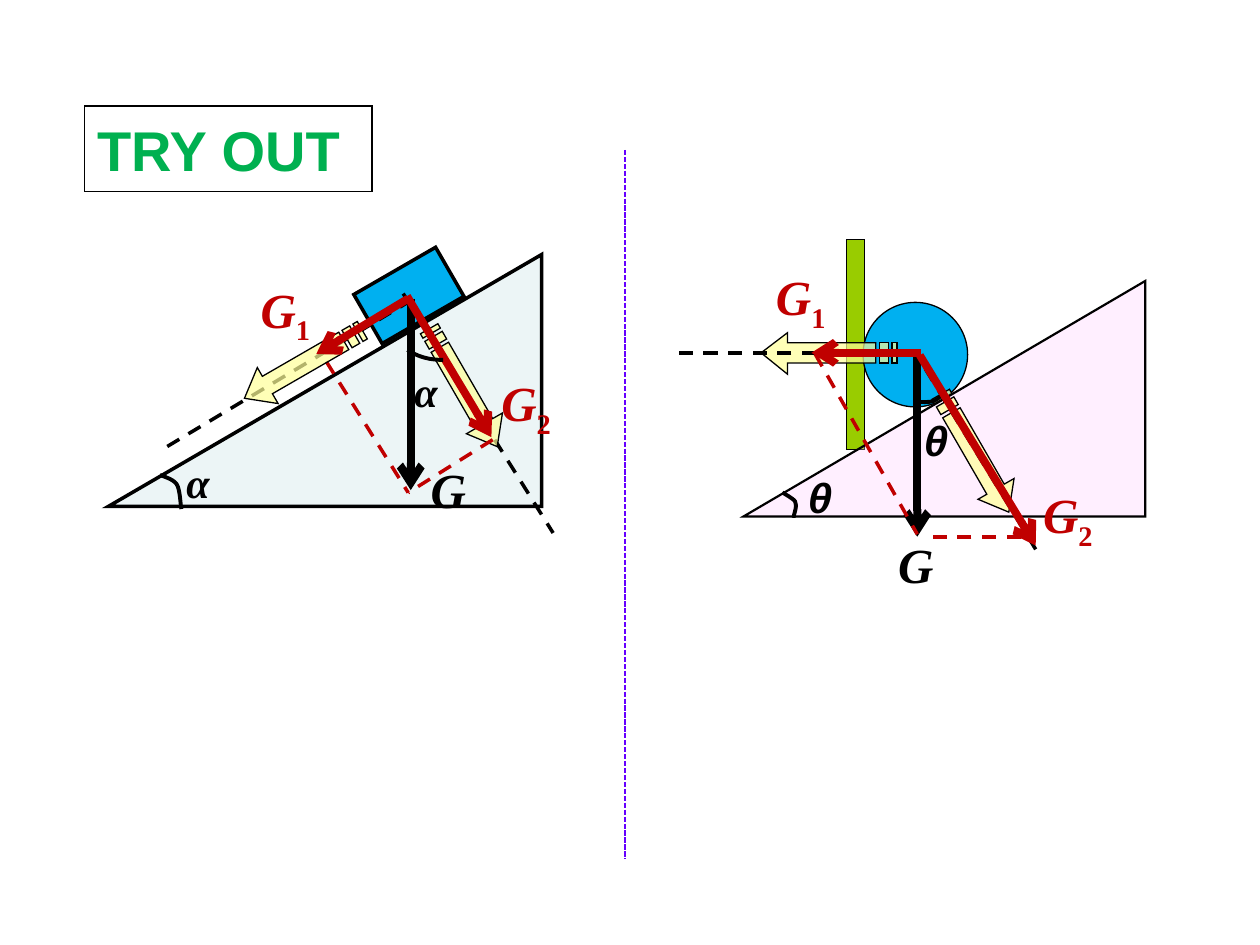
from dataclasses import dataclass

from lxml import etree
from pptx import Presentation
from pptx.dml.color import RGBColor
from pptx.enum.dml import MSO_LINE
from pptx.enum.shapes import MSO_CONNECTOR, MSO_SHAPE
from pptx.enum.text import MSO_ANCHOR, MSO_AUTO_SIZE, PP_ALIGN
from pptx.oxml.ns import qn
from pptx.util import Inches, Pt

STRAIGHT = MSO_CONNECTOR.STRAIGHT
DASH, FINE_DASH = MSO_LINE.DASH, MSO_LINE.SQUARE_DOT
RECTANGLE, ELLIPSE = MSO_SHAPE.RECTANGLE, MSO_SHAPE.OVAL
TRIANGLE, ARC = MSO_SHAPE.RIGHT_TRIANGLE, MSO_SHAPE.ARC
SERIF, MONO, SANS = "Times New Roman", "Courier New", "Arial"
COLORS = {
    "black": "000000", "white": "FFFFFF", "red": "C00000", "blue": "00B0F0",
    "green": "00B050", "lime": "99CC00", "violet": "6600FF",
    "ice": "DAEDEF", "pink": "FFCCFF", "yellow": "FFFF99",
}
Point = tuple[float, float]


@dataclass
class Segment:
    start: Point
    end: Point
    color: str = "black"
    width: float = 2
    dash: MSO_LINE | None = DASH
    arrow: bool = False


@dataclass
class Label:
    text: str
    left: float
    top: float
    width: float
    height: float
    subscript: str = ""
    font: str = SERIF
    size: float = 28
    color: str = "black"


@dataclass
class Body:
    kind: MSO_SHAPE
    box: tuple[float, float, float, float]
    fill: str
    line_width: float
    opacity: int = 100
    rotation: float = 0
    flipped: bool = False


def rgb(name: str) -> RGBColor:
    return RGBColor.from_string(COLORS[name])


def style_shape(shape, fill: str | None, line_width: float, opacity: int = 100) -> None:
    shape.shadow.inherit = False
    if fill is None:
        shape.fill.background()
    else:
        shape.fill.solid()
        shape.fill.fore_color.rgb = rgb(fill)
        if opacity < 100:
            color = shape.fill._xPr.find(qn("a:solidFill"))[0]
            etree.SubElement(color, qn("a:alpha"), val=str(opacity * 1000))
    shape.line.color.rgb = rgb("black")
    shape.line.width = Pt(line_width)
    etree.SubElement(shape.line._get_or_add_ln(), qn("a:miter"), lim="800000")


def draw_body(slide, body: Body) -> None:
    shape = slide.shapes.add_shape(body.kind, *map(Inches, body.box))
    style_shape(shape, body.fill, body.line_width, body.opacity)
    shape.rotation = body.rotation
    if body.flipped:
        shape._element.spPr.xfrm.set("flipH", "1")


def draw_segment(slide, segment: Segment) -> None:
    ends = map(Inches, (*segment.start, *segment.end))
    connector = slide.shapes.add_connector(STRAIGHT, *ends)
    connector.line.color.rgb = rgb(segment.color)
    connector.line.width = Pt(segment.width)
    if segment.dash is not None:
        connector.line.dash_style = segment.dash
    if segment.arrow:
        etree.SubElement(connector.line._get_or_add_ln(), qn("a:tailEnd"), type="arrow")
    etree.SubElement(connector._element.spPr, qn("a:effectLst"))


def add_run(paragraph, text: str, *, font: str, size: float, color: str,
            italic: bool = False, baseline: int = 0) -> None:
    run = paragraph.add_run()
    run.text = text
    run.font.name, run.font.size = font, Pt(size)
    run.font.bold, run.font.italic = True, italic
    run.font.color.rgb = rgb(color)
    if baseline:
        run._r.get_or_add_rPr().set("baseline", str(baseline * 1000))


def draw_label(slide, label: Label) -> None:
    box = map(Inches, (label.left, label.top, label.width, label.height))
    frame = slide.shapes.add_textbox(*box).text_frame
    frame.word_wrap = not label.subscript
    frame.auto_size = MSO_AUTO_SIZE.SHAPE_TO_FIT_TEXT
    look = {"font": label.font, "size": label.size, "color": label.color}
    add_run(frame.paragraphs[0], label.text, italic=True, **look)
    if label.subscript:
        add_run(frame.paragraphs[0], label.subscript, baseline=-25, **look)


def draw_striped_arrow(slide, left: float, top: float, rotation: float) -> None:
    """Two stripes and a pointed body, laid out to the right and then turned."""
    def bar(start: float, end: float) -> list[Point]:
        return [(start, 0.09), (end, 0.09), (end, 0.25), (start, 0.25)]

    head = [(0.17, 0.09), (0.87, 0.09), (0.87, 0), (1.08, 0.17),
            (0.87, 0.33), (0.87, 0.25), (0.17, 0.25)]
    contours = [[(Inches(left + x), Inches(top + y)) for x, y in part]
                for part in (head, bar(0.07, 0.14), bar(0, 0.04))]
    builder = slide.shapes.build_freeform(*contours[0][0])
    for index, contour in enumerate(contours):
        if index:
            builder.move_to(*contour[0])
        builder.add_line_segments(contour[1:], close=True)
    shape = builder.convert_to_shape()
    style_shape(shape, "yellow", 0.75, opacity=70)
    shape.rotation = rotation


def draw_angle_mark(slide, *curves: tuple[Point, Point, Point, Point]) -> None:
    """Joined cubic curves, each drawn in twelve short steps."""
    points = [curves[0][0]]
    for curve in curves:
        for step in range(1, 13):
            t = step / 12
            weights = ((1 - t) ** 3, 3 * t * (1 - t) ** 2, 3 * t * t * (1 - t), t ** 3)
            points.append(tuple(sum(w * p[axis] for w, p in zip(weights, curve))
                                for axis in (0, 1)))
    points = [(Inches(x), Inches(y)) for x, y in points]
    builder = slide.shapes.build_freeform(*points[0])
    builder.add_line_segments(points[1:], close=False)
    style_shape(builder.convert_to_shape(), None, 2.25)


def force(start: Point, end: Point, color: str = "red") -> Segment:
    return Segment(start, end, color, 4.5, None, True)


def component_label(subscript: str, left: float, top: float) -> Label:
    return Label("G", left, top, 0.62, 0.57, subscript, color="red")


def draw_title(slide) -> None:
    title = slide.shapes.title
    title.left, title.top, title.width, title.height = map(Inches, (0.67, 0.84, 2.28, 0.68))
    style_shape(title, "white", 1)
    frame = title.text_frame
    frame.auto_size, frame.vertical_anchor = MSO_AUTO_SIZE.NONE, MSO_ANCHOR.MIDDLE
    frame.paragraphs[0].alignment = PP_ALIGN.LEFT
    add_run(frame.paragraphs[0], "TRY OUT", font=SANS, size=32, color="green")


def draw_block_diagram(slide) -> None:
    # Slope, block, weight and slope angle
    draw_body(slide, Body(TRIANGLE, (0.86, 2.02, 3.44, 2), "ice", 2, 50, flipped=True))
    draw_body(slide, Body(RECTANGLE, (2.87, 2.12, 0.75, 0.45), "blue", 2, rotation=330))
    draw_segment(slide, force((3.26, 2.37), (3.26, 3.89), "black"))
    draw_angle_mark(slide, ((1.27, 3.77), (1.29, 3.78), (1.37, 3.8), (1.4, 3.84)),
                    ((1.4, 3.84), (1.43, 3.88), (1.43, 3.99), (1.44, 4.04)))
    for label in (Label("G", 3.32, 3.6, 0.88, 0.55),
                  Label("α", 1.38, 3.57, 0.72, 0.48, size=24),
                  component_label("1", 1.97, 2.17), component_label("2", 3.88, 2.91),
                  Label("α", 3.19, 2.85, 0.49, 0.5, size=24)):
        draw_label(slide, label)
    # Directions, parallelogram and force components
    draw_segment(slide, Segment((3.2, 2.33), (4.39, 4.23)))
    draw_segment(slide, Segment((3.27, 2.38), (1.3, 3.56)))
    draw_striped_arrow(slide, 3.14, 2.91, 60)
    draw_segment(slide, Segment((3.91, 3.49), (3.24, 3.91), "red"))
    draw_segment(slide, Segment((2.59, 2.87), (3.24, 3.91), "red"))
    draw_striped_arrow(slide, 1.87, 2.73, 150)
    draw_segment(slide, force((3.24, 2.37), (2.51, 2.81)))
    draw_segment(slide, force((3.23, 2.35), (3.9, 3.47)))
    arc = slide.shapes.add_shape(ARC, *map(Inches, (2.95, 1.69, 1.32, 1.09)))
    arc.adjustments[0], arc.adjustments[1] = 198.82, 214.55
    arc.rotation = 127.2
    style_shape(arc, None, 2.25)


def draw_ball_diagram(slide) -> None:
    # Wall, ball, slope and slope angle
    for body in (Body(RECTANGLE, (6.72, 1.9, 0.14, 1.67), "lime", 0.75),
                 Body(ELLIPSE, (6.85, 2.4, 0.83, 0.83), "blue", 0.75),
                 Body(ELLIPSE, (7.26, 2.8, 0.04, 0.04), "black", 0.75),
                 Body(TRIANGLE, (5.9, 2.23, 3.19, 1.87), "pink", 1.25, 30, flipped=True)):
        draw_body(slide, body)
    draw_angle_mark(slide, ((6.3, 4.11), (6.3, 4.07), (6.33, 4.03), (6.31, 3.98)),
                    ((6.31, 3.98), (6.3, 3.96), (6.21, 3.91), (6.21, 3.91)))
    # Weight, parallelogram and directions
    draw_striped_arrow(slide, 6.04, 2.64, 180)
    draw_striped_arrow(slide, 7.2, 3.43, 60)
    draw_segment(slide, force((7.28, 2.82), (7.28, 4.26), "black"))
    draw_segment(slide, Segment((8.1, 4.26), (7.35, 4.26), "red"))
    draw_segment(slide, Segment((6.47, 2.81), (7.28, 4.24), "red"))
    draw_angle_mark(slide, ((7.47, 3.14), (7.41, 3.2), (7.37, 3.19), (7.28, 3.19)))
    draw_segment(slide, Segment((7.26, 2.8), (5.32, 2.8)))
    draw_segment(slide, Segment((8.22, 4.36), (7.26, 2.79)))
    # Labels and force components
    for label in (Label("θ", 6.31, 3.69, 0.5, 0.51, font=MONO, size=24),
                  Label("G", 7.03, 4.19, 0.88, 0.57),
                  Label("θ", 7.23, 3.24, 0.53, 0.5, font=MONO, size=24),
                  component_label("2", 8.18, 3.8), component_label("1", 6.06, 2.07)):
        draw_label(slide, label)
    draw_segment(slide, force((7.3, 2.82), (8.22, 4.33)))
    draw_segment(slide, force((7.31, 2.8), (6.44, 2.8)))


def main() -> None:
    presentation = Presentation()
    presentation.slide_width, presentation.slide_height = Inches(10), Inches(7.5)
    slide = presentation.slides.add_slide(presentation.slide_layouts[5])
    draw_title(slide)
    draw_block_diagram(slide)
    draw_segment(slide, Segment((4.96, 1.19), (4.96, 6.82), "violet", 1, FINE_DASH))
    draw_ball_diagram(slide)
    presentation.save("out.pptx")


if __name__ == "__main__":
    main()
